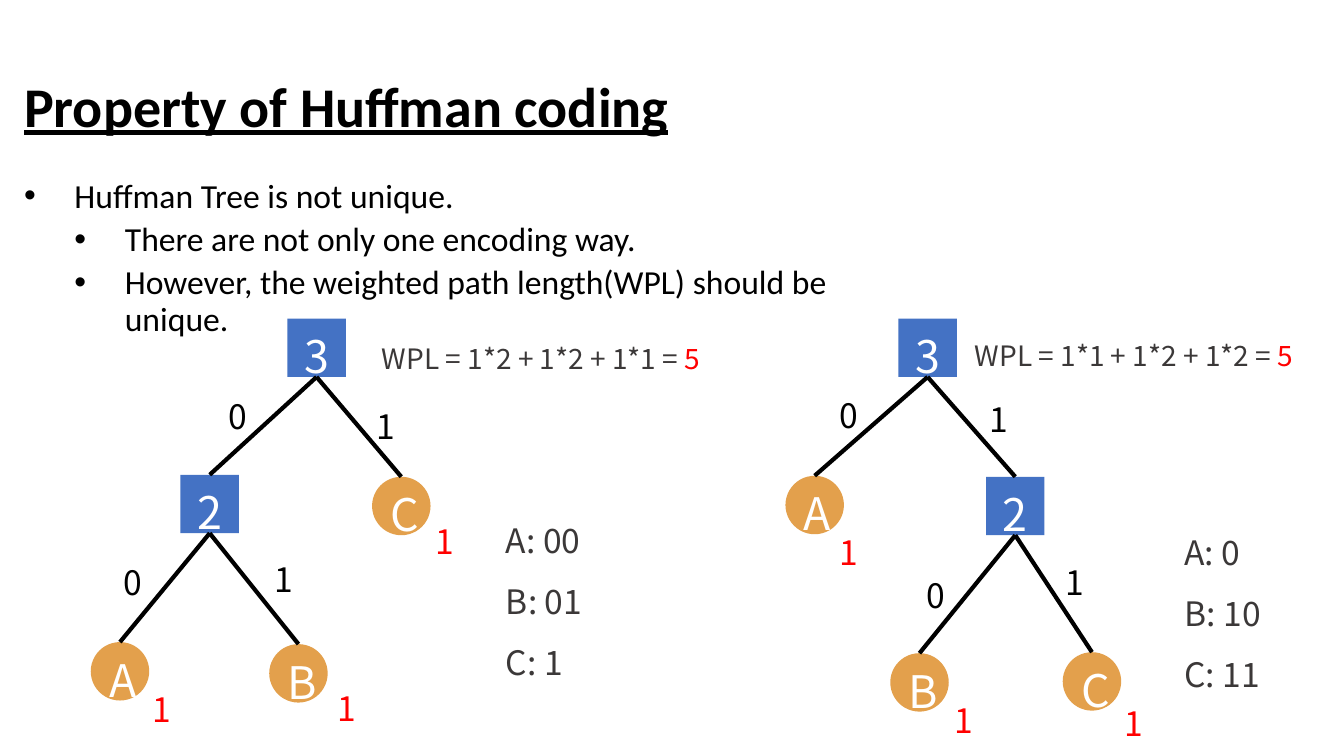
from lxml import etree
from pptx import Presentation
from pptx import util as u
from pptx.dml.color import RGBColor
from pptx.enum import shapes, text
from pptx.oxml.ns import qn

PX = 9144  # EMU per px, 100 px to the inch
COLORS = {"black": "000000", "white": "FFFFFF", "red": "FF0000",
          "gray": "3B3838", "blue": "4472C4", "orange": "E3A04C"}
TREE_FONT = "Noto Sans CJK SC"
NODE_SIZE = 58

presentation = Presentation()
presentation.slide_width = 1333 * PX
presentation.slide_height = 750 * PX
slide = presentation.slides.add_slide(presentation.slide_layouts[6])


def add_text(left, top, width, height, lines, size, color,
             font=TREE_FONT, line_spacing=1.3, space_before=6):
    """Add a text box with one paragraph per line and return its frame."""
    box = slide.shapes.add_textbox(left * PX, top * PX, width * PX, height * PX)
    frame = box.text_frame
    frame.word_wrap = True
    frame.text = "\n".join(lines)
    for paragraph in frame.paragraphs:
        paragraph.line_spacing = line_spacing
        paragraph.space_before = u.Pt(space_before)
        style_run(paragraph.runs[0], size, color, font)
    return frame


def style_run(run, size, color, font=TREE_FONT):
    run.font.size = u.Pt(size)
    run.font.name = font
    run.font.color.rgb = RGBColor.from_string(COLORS[color])


# Title
title = add_text(14, 42, 1000, 101, ["Property of Huffman coding"], 40, "black",
                 "Calibri", 0.9, 0)
title.vertical_anchor = text.MSO_ANCHOR.BOTTOM
title.paragraphs[0].runs[0].font.bold = True
title.paragraphs[0].runs[0].font.underline = True

# Bulleted statements
statements = add_text(14, 173, 908, 553, [
    "Huffman Tree is not unique.",
    "There are not only one encoding way.",
    "However, the weighted path length(WPL) should be unique.",
], 24, "black", "Calibri", 0.9, 5)
statements.paragraphs[0].space_before = u.Pt(10)
for paragraph, level in zip(statements.paragraphs, (0, 1, 1)):
    paragraph.level = level
    properties = paragraph._p.get_or_add_pPr()
    properties.set("marL", str(50 * (level + 1) * PX))
    properties.set("indent", str(-50 * PX))
    etree.SubElement(properties, qn("a:buFont")).set("typeface", "Arial")
    etree.SubElement(properties, qn("a:buChar")).set("char", "•")

# Each tree: nodes (name, left, top), edges (parent, child),
# bit and weight labels (text, left, top), code table and WPL formula
trees = [
    {
        "nodes": [("3", 285, 316), ("2", 179, 471), ("C", 369, 473),
                  ("A", 90, 637), ("B", 267, 639)],
        "edges": ["32", "3C", "2A", "2B"],
        "bits": [("0", 217, 376), ("1", 364, 386), ("0", 113, 541), ("1", 262, 538)],
        "weights": [("1", 422, 500), ("1", 141, 667), ("1", 325, 666)],
        "codes": (492, 499, 198, 179, ["A: 00", "B: 01", "C: 1"]),
        "formula": (369, 324, "WPL = 1*2 + 1*2 + 1*1 = "),
    },
    {
        "nodes": [("3", 891, 316), ("A", 779, 472), ("2", 978, 473),
                  ("B", 883, 648), ("C", 1054, 647)],
        "edges": ["3A", "32", "2B", "2C"],
        "bits": [("0", 823, 375), ("1", 972, 379), ("0", 909, 553), ("1", 1047, 541)],
        "weights": [("1", 823, 511), ("1", 937, 677), ("1", 1105, 680)],
        "codes": (1165, 511, 138, 179, ["A: 0", "B: 10", "C: 11"]),
        "formula": (957, 321, "WPL = 1*1 + 1*2 + 1*2 = "),
    },
]

for tree in trees:
    # Nodes: squares hold sums, circles hold symbols
    nodes = {}
    for name, left, top in tree["nodes"]:
        is_sum = name.isdigit()
        kind = shapes.MSO_SHAPE.RECTANGLE if is_sum else shapes.MSO_SHAPE.OVAL
        shape = slide.shapes.add_shape(kind, left * PX, top * PX,
                                       NODE_SIZE * PX, NODE_SIZE * PX)
        shape.shadow.inherit = False
        shape.fill.solid()
        shape.fill.fore_color.rgb = RGBColor.from_string(
            COLORS["blue" if is_sum else "orange"])
        shape.line.fill.background()
        shape.text_frame.text = name
        shape.text_frame.vertical_anchor = text.MSO_ANCHOR.MIDDLE
        paragraph = shape.text_frame.paragraphs[0]
        paragraph.alignment = text.PP_ALIGN.CENTER
        paragraph.line_spacing = 1.3
        style_run(paragraph.runs[0], 32, "white")
        nodes[name] = shape

    # Edges run from the parent's bottom to the child's top
    for parent, child in tree["edges"]:
        edge = slide.shapes.add_connector(shapes.MSO_CONNECTOR.STRAIGHT, 0, 0, 0, 0)
        edge.begin_connect(nodes[parent], 2)
        edge.end_connect(nodes[child], 0)
        edge.line.width = u.Pt(3)
        edge.line.color.rgb = RGBColor.from_string(COLORS["black"])
        etree.SubElement(edge._element.spPr, qn("a:effectLst"))

    # Bits on edges and weights beside leaves
    for group, color in (("bits", "black"), ("weights", "red")):
        for label, left, top in tree[group]:
            add_text(left, top, 40, 57, [label], 24, color)

    # Code table
    add_text(*tree["codes"], 24, "gray")

    # Weighted path length
    left, top, formula = tree["formula"]
    frame = add_text(left, top, 430, 50, [formula], 20, "gray")
    total = frame.paragraphs[0].add_run()
    total.text = "5"
    style_run(total, 20, "red")

presentation.save("out.pptx")
